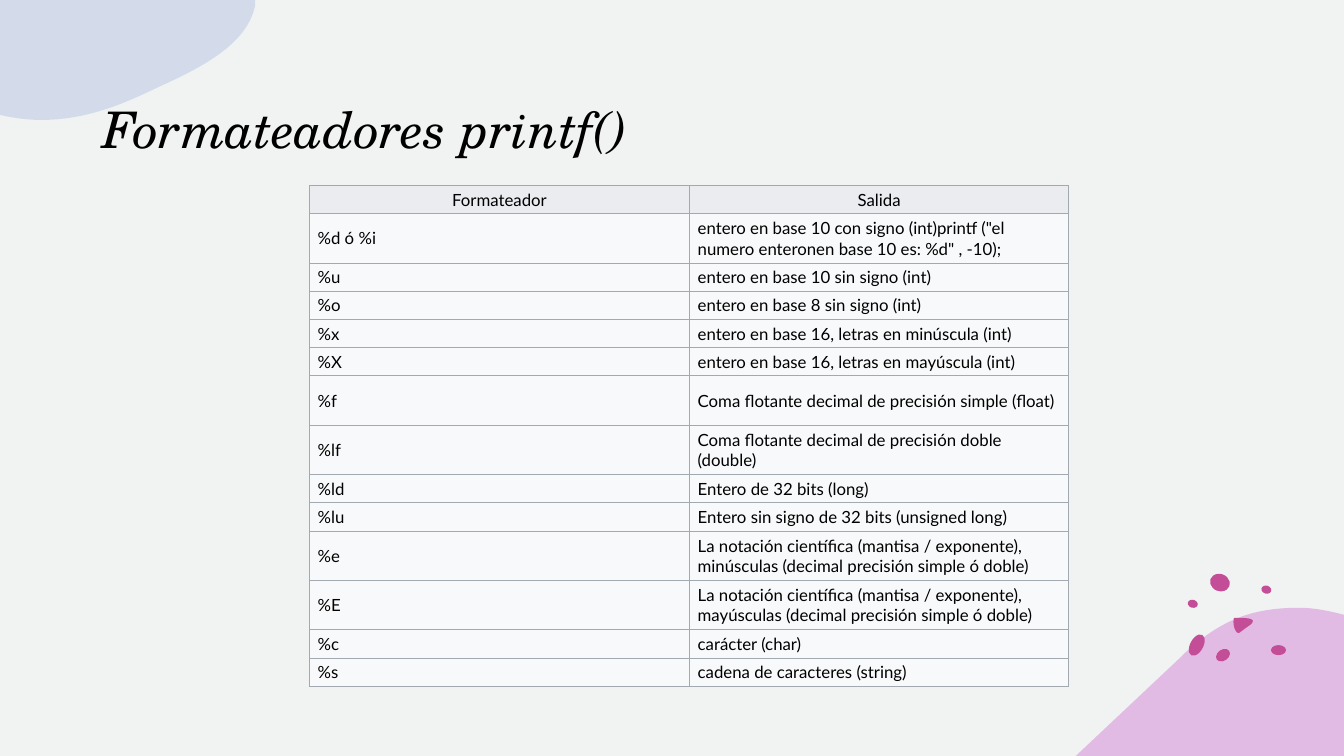
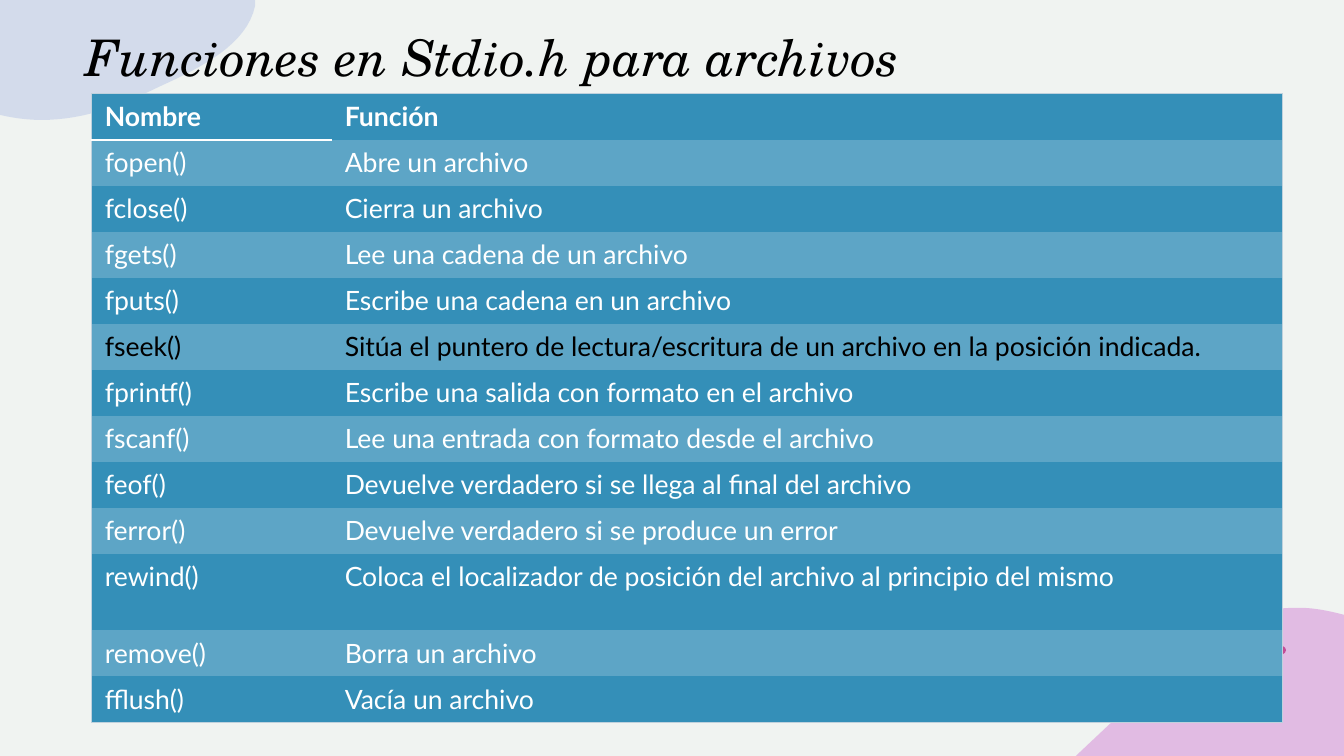
"""Build two slides on C input and output: printf formatters and file functions."""
from dataclasses import dataclass

import lxml.etree
import pptx
import pptx.dml.color
import pptx.enum.shapes
import pptx.enum.text
import pptx.oxml.ns
import pptx.util

Inches = pptx.util.Inches
Pt = pptx.util.Pt
RGB = pptx.dml.color.RGBColor.from_string
Anchor = pptx.enum.text.MSO_ANCHOR
Align = pptx.enum.text.PP_ALIGN
qn = pptx.oxml.ns.qn


@dataclass(frozen=True)
class Theme:
    background: str = "F0F3F1"
    ink: str = "000000"
    white: str = "FFFFFF"
    lilac: str = "D384D6"
    periwinkle: str = "B8C5E7"
    magenta: str = "C34D96"
    grid: str = "A2A9B1"
    grid_header: str = "EAECF0"
    grid_body: str = "F8F9FA"
    blue: str = "348FB8"
    light_blue: str = "5DA5C6"
    frame: str = "BFD1DD"
    title_font: str = "TeX Gyre Schola"
    body_font: str = "Lato"
    title_size: int = 36
    grid_size: int = 12
    band_size: int = 19


THEME = Theme()
NO_STYLE = "{2D5ABB26-0587-4C30-8999-92F81FD0307C}"
CURVE_STEPS = 16


@dataclass(frozen=True)
class Outline:
    """A closed outline; a segment is a line (2 numbers) or a cubic curve (6)."""
    color: str
    opacity: int
    start: tuple[float, float]
    segments: tuple[tuple[float, ...], ...]


@dataclass(frozen=True)
class Spot:
    """A small oval given by its centre, size and rotation."""
    x: float
    y: float
    width: float
    height: float
    rotation: int


@dataclass(frozen=True)
class Border:
    color: str
    width: float


@dataclass(frozen=True)
class CellStyle:
    fill: str
    color: str
    size: int
    margins: tuple[float, float]
    anchor: Anchor
    align: Align = Align.LEFT
    bold: bool = False


@dataclass(frozen=True)
class TableFrame:
    left: float
    top: float
    widths: tuple[float, ...]
    heights: tuple[float, ...]


OUTLINES = (
    Outline(THEME.lilac, 50, (10.67, 7.5), (
        (11.69, 6.54), (12.08, 6.15, 12.42, 6.03, 12.88, 6.03),
        (13.03, 6.03, 13.18, 6.06, 13.33, 6.1), (13.33, 7.5))),
    Outline(THEME.periwinkle, 50, (0, 0), (
        (2.53, 0), (2.53, 0.06), (2.45, 0.44, 2, 0.67, 1.58, 0.86),
        (1.23, 1.03, 0.86, 1.19, 0.41, 1.19), (0.27, 1.19, 0.13, 1.17, 0, 1.14))),
    Outline(THEME.magenta, 100, (12.24, 6.13), (
        (12.36, 6.13, 12.48, 6.13, 12.4, 6.2), (12.37, 6.22, 12.33, 6.25, 12.29, 6.28),
        (12.25, 6.29, 12.22, 6.18, 12.24, 6.13))),
)

SPOTS = (
    Spot(12.13, 6.5, 0.15, 0.11, -35),
    Spot(11.87, 6.4, 0.13, 0.23, 28),
    Spot(12.68, 6.45, 0.15, 0.1, 0),
    Spot(12.1, 5.78, 0.2, 0.17, 20),
    Spot(12.56, 5.85, 0.1, 0.08, 15),
    Spot(11.83, 5.99, 0.1, 0.08, 15),
)

FORMATTERS = (
    ("Formateador", "Salida"),
    ("%d ó %i", 'entero en base 10 con signo (int)printf ("el numero enteronen base 10 es: %d" , -10);'),
    ("%u", "entero en base 10 sin signo (int)"),
    ("%o", "entero en base 8 sin signo (int)"),
    ("%x", "entero en base 16, letras en minúscula (int)"),
    ("%X", "entero en base 16, letras en mayúscula (int)"),
    ("%f", "Coma flotante decimal de precisión simple (float)"),
    ("%lf", "Coma flotante decimal de precisión doble (double)"),
    ("%ld", "Entero de 32 bits (long)"),
    ("%lu", "Entero sin signo de 32 bits (unsigned long)"),
    ("%e", "La notación científica (mantisa / exponente), minúsculas (decimal precisión simple ó doble)"),
    ("%E", "La notación científica (mantisa / exponente), mayúsculas (decimal precisión simple ó doble)"),
    ("%c", "carácter (char)"),
    ("%s", "cadena de caracteres (string)"),
)
TALL_FORMATTERS = ("%d ó %i", "%f", "%lf", "%e", "%E")

FILE_FUNCTIONS = (
    ("Nombre", "Función"),
    ("fopen()", "Abre un archivo"),
    ("fclose()", "Cierra un archivo"),
    ("fgets()", "Lee una cadena de un archivo"),
    ("fputs()", "Escribe una cadena en un archivo"),
    ("fseek()", "Sitúa el puntero de lectura/escritura de un archivo en la posición indicada."),
    ("fprintf()", "Escribe una salida con formato en el archivo"),
    ("fscanf()", "Lee una entrada con formato desde el archivo"),
    ("feof()", "Devuelve verdadero si se llega al final del archivo"),
    ("ferror()", "Devuelve verdadero si se produce un error"),
    ("rewind()", "Coloca el localizador de posición del archivo al principio del mismo"),
    ("remove()", "Borra un archivo"),
    ("fflush()", "Vacía un archivo"),
)


def flatten(outline: Outline) -> list[tuple[int, int]]:
    """Return the vertices after the start, with curves sampled evenly."""
    points, here = [], outline.start
    for seg in outline.segments:
        if len(seg) == 2:
            points.append(seg)
        else:
            for step in range(1, CURVE_STEPS + 1):
                t = step / CURVE_STEPS
                u = 1 - t
                points.append(tuple(
                    u**3 * here[i] + 3 * u * u * t * seg[i] + 3 * u * t * t * seg[i + 2]
                    + t**3 * seg[i + 4] for i in (0, 1)))
        here = seg[-2:]
    return [(Inches(x), Inches(y)) for x, y in points]


def paint(sp, color: str, opacity: int = 100) -> None:
    """Fill a shape and remove its line and shadow."""
    sp.shadow.inherit = False
    sp.line.fill.background()
    sp.fill.solid()
    sp.fill.fore_color.rgb = RGB(color)
    if opacity < 100:
        clr = sp._element.spPr.find(qn("a:solidFill"))[0]
        lxml.etree.SubElement(clr, qn("a:alpha"), val=str(opacity * 1000))


def draw_outline(s, outline: Outline):
    """Draw one filled outline and return it."""
    builder = s.shapes.build_freeform(*(Inches(v) for v in outline.start))
    builder.add_line_segments(flatten(outline), close=True)
    sp = builder.convert_to_shape()
    paint(sp, outline.color, outline.opacity)
    return sp


def draw_spot(s, spot: Spot):
    """Draw one magenta oval and return it."""
    sp = s.shapes.add_shape(
        pptx.enum.shapes.MSO_SHAPE.OVAL, Inches(spot.x - spot.width / 2),
        Inches(spot.y - spot.height / 2), Inches(spot.width), Inches(spot.height))
    sp.rotation = spot.rotation
    paint(sp, THEME.magenta)
    return sp


def decorate_layout(s) -> None:
    """Draw the decoration and move it to the layout that the slides share."""
    layout = s.slide_layout
    for ph in list(layout.placeholders)[1:]:
        ph._element.getparent().remove(ph._element)
    shapes = [draw_outline(s, outline) for outline in OUTLINES]
    shapes += [draw_spot(s, spot) for spot in SPOTS]
    for sp in shapes:
        layout.shapes._spTree.append(sp._element)


def set_title(s, text: str, left: float, top: float) -> None:
    """Place and format the slide title."""
    sp = s.shapes.title
    sp.left, sp.top, sp.width, sp.height = (Inches(v) for v in (left, top, 11.89, 1.47))
    tf = sp.text_frame
    tf.text = text
    tf.auto_size = pptx.enum.text.MSO_AUTO_SIZE.NONE
    tf.vertical_anchor = Anchor.BOTTOM
    tf.margin_left = tf.margin_right = Inches(0.13)
    tf.margin_top = tf.margin_bottom = Inches(0.07)
    p = tf.paragraphs[0]
    p.alignment = Align.LEFT
    font = p.runs[0].font
    font.name, font.size, font.italic = THEME.title_font, Pt(THEME.title_size), True
    font.color.rgb = RGB(THEME.ink)


def set_cell(cell, text: str, style: CellStyle, borders: dict[str, Border]) -> None:
    """Fill in one cell and draw its borders, keyed by L, R, T and B."""
    cell.text_frame.text = text
    cell.vertical_anchor = style.anchor
    cell.margin_left = cell.margin_right = Inches(style.margins[0])
    cell.margin_top = cell.margin_bottom = Inches(style.margins[1])
    cell.fill.solid()
    cell.fill.fore_color.rgb = RGB(style.fill)
    p = cell.text_frame.paragraphs[0]
    p.alignment = style.align
    font = p.runs[0].font
    font.name, font.size, font.bold = THEME.body_font, Pt(style.size), style.bold
    font.color.rgb = RGB(style.color)
    sides = [side for side in "LRTB" if side in borders]
    for i, side in enumerate(sides):
        ln = lxml.etree.Element(qn(f"a:ln{side}"), w=str(Pt(borders[side].width)))
        fill = lxml.etree.SubElement(ln, qn("a:solidFill"))
        lxml.etree.SubElement(fill, qn("a:srgbClr"), val=borders[side].color)
        cell._tc.get_or_add_tcPr().insert(i, ln)


def add_plain_table(s, frame: TableFrame):
    """Add a table without a banded style and size its rows and columns."""
    table = s.shapes.add_table(
        len(frame.heights), len(frame.widths), Inches(frame.left), Inches(frame.top),
        Inches(sum(frame.widths)), Inches(sum(frame.heights))).table
    table.first_row = table.horz_banding = False
    table._tbl.tblPr.find(qn("a:tableStyleId")).text = NO_STYLE
    for column, width in zip(table.columns, frame.widths):
        column.width = Inches(width)
    for row, height in zip(table.rows, frame.heights):
        row.height = Inches(height)
    return table


def formatter_slide(s) -> None:
    """Draw the table of printf formatters."""
    set_title(s, "Formateadores printf()", 0.89, 0.17)
    heights = tuple(0.49 if name in TALL_FORMATTERS else 0.28 for name, _ in FORMATTERS)
    table = add_plain_table(s, TableFrame(3.07, 1.84, (3.77, 3.76), heights))
    borders = dict.fromkeys("LRTB", Border(THEME.grid, 0.75))
    for r, row in enumerate(FORMATTERS):
        style = CellStyle(
            THEME.grid_body if r else THEME.grid_header, THEME.ink, THEME.grid_size,
            (0.08, 0.04), Anchor.MIDDLE, Align.LEFT if r else Align.CENTER)
        for c, text in enumerate(row):
            set_cell(table.cell(r, c), text, style, borders)


def function_slide(s) -> None:
    """Draw the banded table of file functions."""
    set_title(s, "Funciones en Stdio.h para archivos", 0.72, -0.54)
    heights = tuple(0.76 if name == "rewind()" else 0.45 for name, _ in FILE_FUNCTIONS)
    table = add_plain_table(s, TableFrame(0.91, 0.93, (2.38, 9.43), heights))
    edge, rule = Border(THEME.frame, 0.5), Border(THEME.white, 1.5)
    for r, row in enumerate(FILE_FUNCTIONS):
        style = CellStyle(
            THEME.light_blue if r % 2 else THEME.blue,
            THEME.ink if row[0] == "fseek()" else THEME.white,
            THEME.band_size, (0.13, 0.07), Anchor.TOP, bold=r == 0)
        for c, text in enumerate(row):
            borders = {"R" if c else "L": edge}
            if r == 0:
                borders["T"] = edge
            if r == len(FILE_FUNCTIONS) - 1:
                borders["B"] = edge
            if r == c == 0:
                borders["B"] = rule
            set_cell(table.cell(r, c), text, style, borders)


def main() -> None:
    """Build and save the presentation."""
    prs = pptx.Presentation()
    prs.slide_width, prs.slide_height = Inches(13.33), Inches(7.5)
    fill = prs.slide_master.background.fill
    fill.solid()
    fill.fore_color.rgb = RGB(THEME.background)
    slides = [prs.slides.add_slide(prs.slide_layouts[5]) for _ in range(2)]
    decorate_layout(slides[0])
    formatter_slide(slides[0])
    function_slide(slides[1])
    prs.save("out.pptx")


if __name__ == "__main__":
    main()
